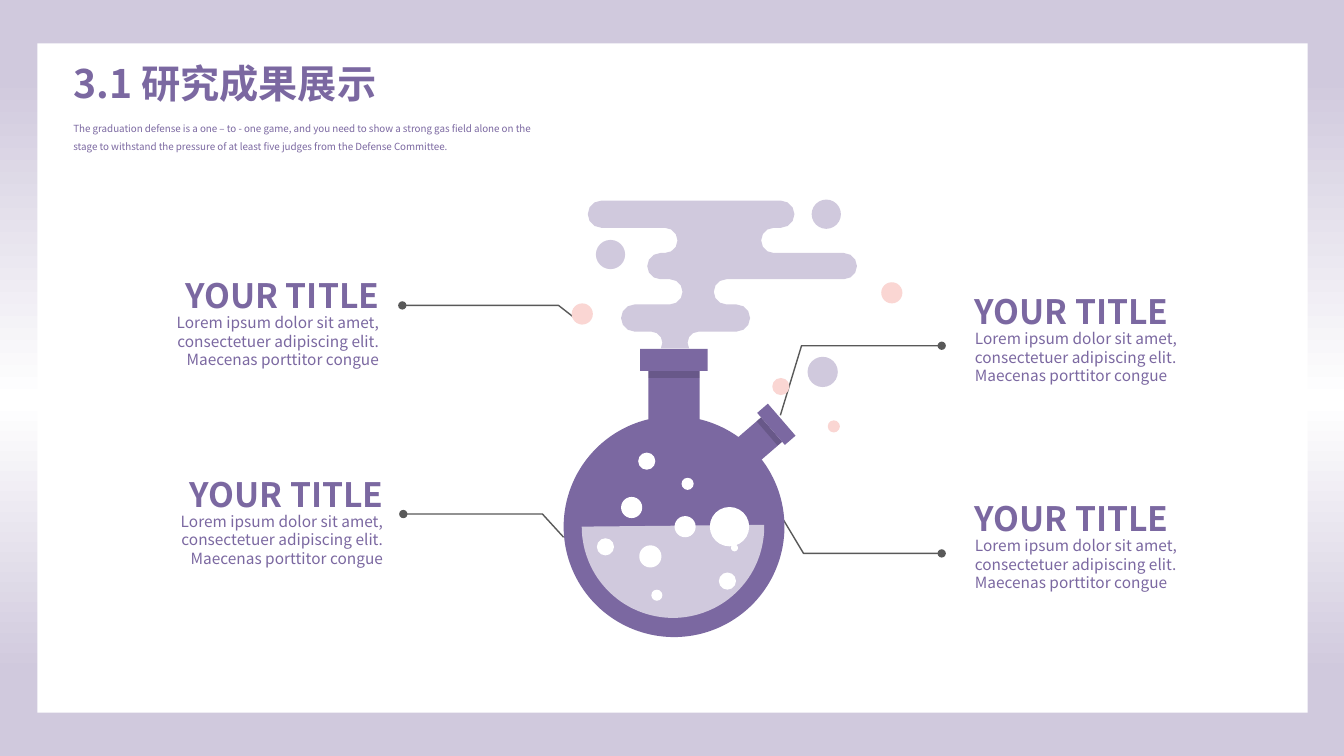
from math import cos, pi, sin

from lxml import etree
from pptx import Presentation
from pptx.dml.color import RGBColor
from pptx.enum.shapes import MSO_SHAPE
from pptx.enum.text import MSO_ANCHOR, MSO_AUTO_SIZE, PP_ALIGN
from pptx.oxml.ns import qn
from pptx.util import Inches, Pt

RECT, OVAL, CHORD = MSO_SHAPE.RECTANGLE, MSO_SHAPE.OVAL, MSO_SHAPE.CHORD
LEFT, RIGHT = PP_ALIGN.LEFT, PP_ALIGN.RIGHT
TOP, FIXED = MSO_ANCHOR.TOP, MSO_AUTO_SIZE.NONE

PURPLE = RGBColor(0x7B, 0x68, 0xA1)
LILAC = RGBColor(0xD0, 0xC9, 0xDD)
PINK = RGBColor(0xFA, 0xD6, 0xD3)
WHITE = RGBColor(0xFF, 0xFF, 0xFF)
BLACK = RGBColor(0, 0, 0)
GREY = RGBColor(0x59, 0x59, 0x59)
FONT = "Noto Sans CJK SC"

# Content
TITLE = "3.1 研究成果展示"
INTRO = ("The graduation defense is a one – to - one game, and you need to show "
         "a strong gas field alone on the stage to withstand the pressure of at "
         "least five judges from the Defense Committee.")
HEAD = "YOUR TITLE"
BODY = ("Lorem ipsum dolor sit amet, consectetuer adipiscing elit. "
        "Maecenas porttitor congue")

# Outer text edge, top and side of each note
NOTES = [(9.57, 2.84, LEFT), (9.57, 4.89, LEFT),
         (3.86, 2.68, RIGHT), (3.9, 4.65, RIGHT)]
HEAD_W, BODY_W, BODY_DROP = 2.2, 2.68, 0.38

# Leader lines, from the flask to the dot
LEADS = [[(5.77, 3.21), (5.54, 3.03), (3.99, 3.03)],
         [(5.59, 5.33), (5.38, 5.1), (4, 5.1)],
         [(7.74, 4.12), (7.95, 3.43), (9.34, 3.43)],
         [(7.76, 5.14), (7.97, 5.49), (9.34, 5.49)]]

# Steam rows: left, right, top, bottom, rounded outward (1) or inward (-1)
STEAM = [(5.83, 7.88, 1.99, 2.26, 1), (6.72, 7.55, 2.26, 2.51, -1),
         (6.42, 8.5, 2.51, 2.77, 1), (6.77, 7.08, 2.77, 3.02, -1),
         (6.16, 7.44, 3.02, 3.29, 1), (6.57, 6.82, 3.29, 3.51, -1)]
STEAM_END, STEPS = 3.46, 6

# Circles: left, top, size
PUFFS = [(8.05, 1.98, 0.29), (5.91, 2.38, 0.29), (8.01, 3.54, 0.3)]
SPARKS = [(5.67, 3.01, 0.21), (8.74, 2.8, 0.21),
          (8.21, 4.17, 0.12), (7.66, 3.75, 0.17)]
BUBBLES = [(6.33, 4.49, 0.17), (6.76, 4.74, 0.12), (6.16, 4.93, 0.21),
           (6.69, 5.12, 0.21), (7.04, 5.03, 0.39), (6.34, 5.41, 0.22),
           (5.92, 5.34, 0.17), (7.13, 5.68, 0.17), (6.46, 5.85, 0.11),
           (7.25, 5.4, 0.07)]
TILT = 49.2

deck = Presentation()
deck.slide_width, deck.slide_height = Inches(13.33), Inches(7.5)
slide = deck.slides.add_slide(deck.slide_layouts[5])
shapes = slide.shapes


def paint(shape, color):
    shape.shadow.inherit = False
    shape.fill.solid()
    shape.fill.fore_color.rgb = color
    shape.line.fill.background()


def add(kind, left, top, wide, high, color, turn=0):
    shape = shapes.add_shape(kind, *map(Inches, (left, top, wide, high)))
    paint(shape, color)
    shape.rotation = turn
    return shape


def dots(items, color):
    for left, top, size in items:
        add(OVAL, left, top, size, size, color)


def shade(*place):
    band = add(RECT, *place[:4], BLACK, *place[4:])
    tint = band.element.spPr.find(".//" + qn("a:srgbClr"))
    etree.SubElement(tint, qn("a:alpha"), val="15000")


def trace(points, close):
    spots = [(Inches(x), Inches(y)) for x, y in points]
    pen = shapes.build_freeform(*spots[0])
    pen.add_line_segments(spots[1:], close=close)
    return pen.convert_to_shape()


def write(box, place, text, size, side=LEFT, bold=False, lead=1.2):
    box.left, box.top, box.width, box.height = map(Inches, place)
    frame = box.text_frame
    frame.text = text
    frame.word_wrap = True
    frame.auto_size = FIXED
    frame.vertical_anchor = TOP
    para = frame.paragraphs[0]
    para.alignment = side
    para.line_spacing = Pt(size * lead)
    font = para.font
    font.size, font.bold, font.name = Pt(size), bold, FONT
    font.color.rgb = PURPLE
    base = box.element.find(".//" + qn("a:defRPr"))
    etree.SubElement(base, qn("a:ea"), typeface=FONT)


def label(*args, **more):
    write(shapes.add_textbox(0, 0, 0, 0), *args, **more)


def steam():
    right, left = [], []
    for west, east, top, base, way in STEAM:
        rad = (base - top) / 2
        for step in range(STEPS + 1):
            turn = pi * (step / STEPS - 0.5)
            y = top + rad + rad * sin(turn)
            inset = way * rad * (1 - cos(turn))
            if y <= STEAM_END:
                right.append((east - inset, y))
                left.append((west + inset, y))
    return right + left[::-1]


# Background gradient, top to bottom
slide.background.fill.gradient()
grad = slide.element.find(".//" + qn("a:gradFill"))
stops = grad.find(qn("a:gsLst"))
for stop in list(stops):
    stops.remove(stop)
for pos, color in [(10, LILAC), (53, WHITE), (89, LILAC)]:
    stop = etree.SubElement(stops, qn("a:gs"), pos=str(pos * 1000))
    etree.SubElement(stop, qn("a:srgbClr"), val=str(color))
grad.find(qn("a:lin")).set("ang", str(90 * 60000))

# White panel behind the title
panel = add(RECT, 0.37, 0.43, 12.6, 6.64, WHITE)
shapes.element.insert(2, panel.element)

# Title and intro
write(shapes.title, (0.63, 0.54, 4.07, 0.57), TITLE, 28, bold=True)
label((0.63, 1.11, 4.76, 0.45), INTRO, 7, lead=1.83)

# Leader lines
for points in LEADS:
    lead = trace(points, False)
    lead.shadow.inherit = False
    lead.fill.background()
    lead.line.color.rgb = GREY
    lead.line.width = Pt(1)
    etree.SubElement(lead.element.spPr.find(qn("a:ln")), qn("a:tailEnd"), type="oval")

# Flask bowl, steam and loose dots
add(OVAL, 5.59, 4.13, 2.19, 2.19, PURPLE)
paint(trace(steam(), True), LILAC)
dots(PUFFS, LILAC)
dots(SPARKS, PINK)

# Necks, liquid and bubbles
add(RECT, 6.43, 3.68, 0.51, 0.48, PURPLE)
add(RECT, 7.38, 4.21, 0.32, 0.3, PURPLE, TILT)
liquid = add(CHORD, 5.77, 4.32, 1.81, 1.81, LILAC)
liquid.adjustments[0], liquid.adjustments[1] = 215.31, 108.02
dots(BUBBLES, WHITE)

# Neck shadows and caps
shade(6.43, 3.68, 0.51, 0.07)
shade(7.47, 4.25, 0.32, 0.06, TILT)
add(RECT, 7.49, 4.14, 0.42, 0.14, PURPLE, TILT)
add(RECT, 6.35, 3.46, 0.67, 0.22, PURPLE)

# Notes
for edge, top, side in NOTES:
    back = 1 if side == RIGHT else 0
    label((edge - back * BODY_W, top + BODY_DROP, BODY_W, 0.66), BODY, 11, side)
    label((edge - back * HEAD_W, top, HEAD_W, 0.5), HEAD, 24, side, bold=True)

deck.save("out.pptx")
